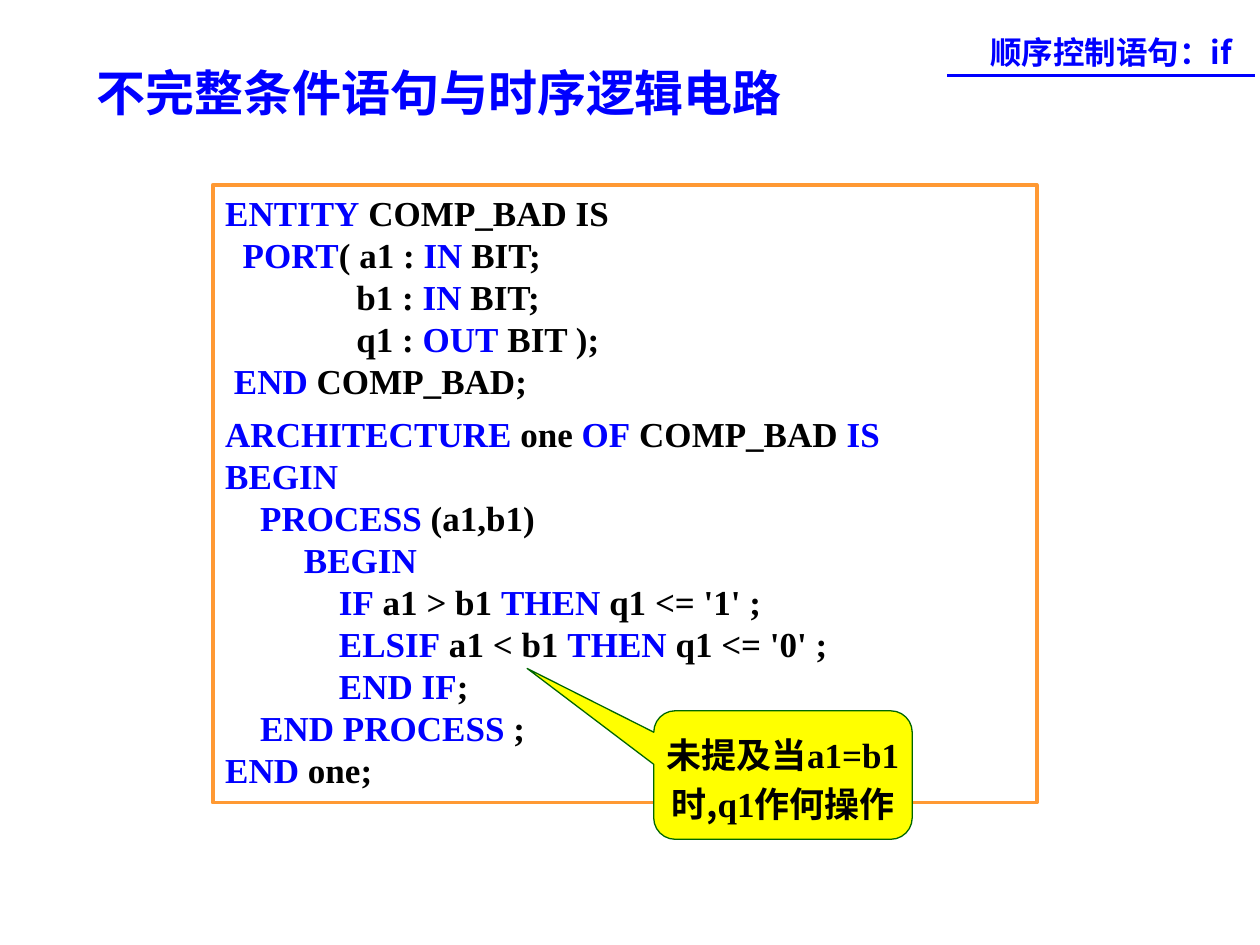
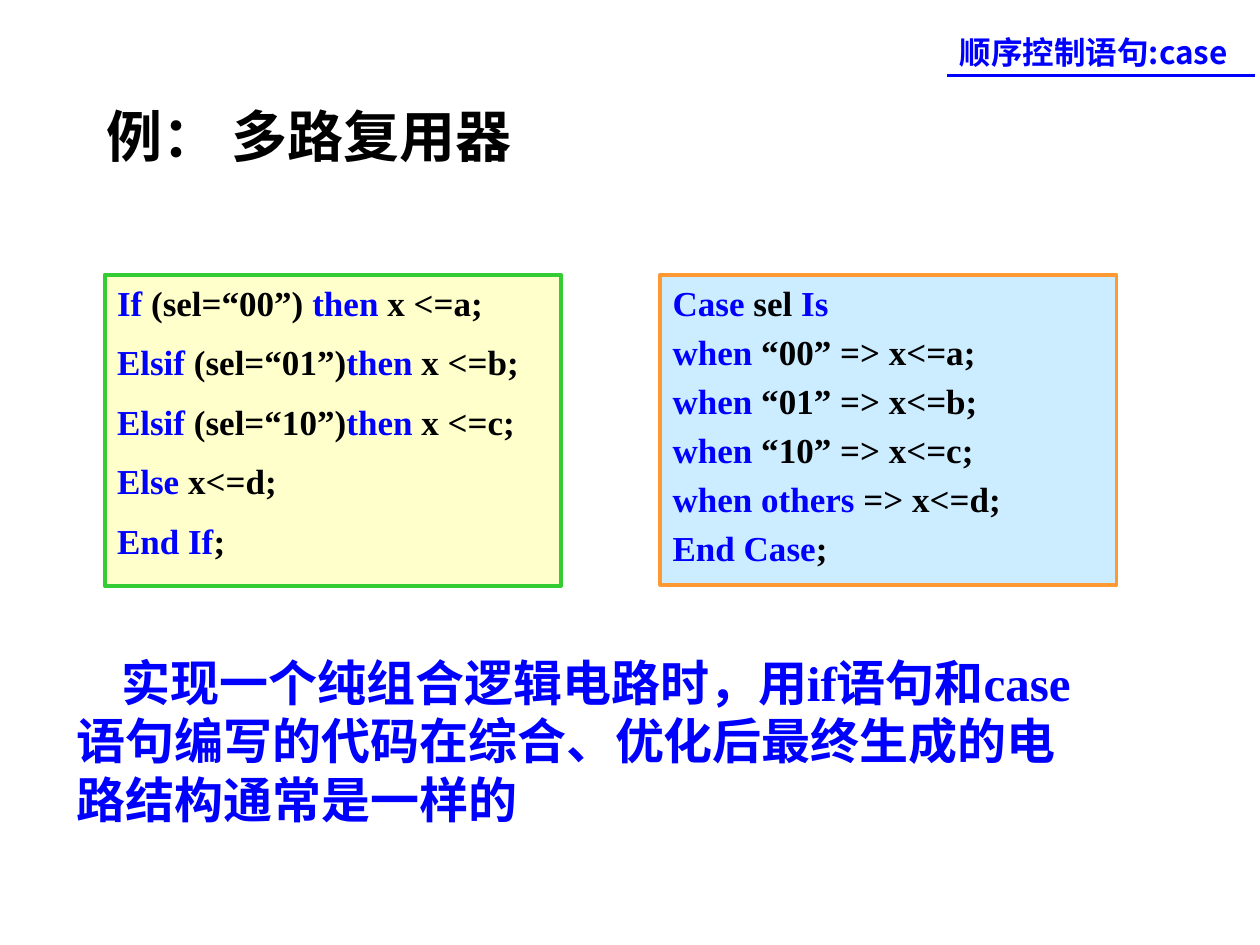
from dataclasses import dataclass

from pptx import Presentation
from pptx.dml.color import RGBColor
from pptx.enum.shapes import MSO_CONNECTOR as CONNECTOR, MSO_SHAPE as SHAPE
from pptx.enum.text import MSO_ANCHOR as ANCHOR, PP_ALIGN as ALIGN
from pptx.oxml.ns import qn
from pptx.util import Cm, Pt
from lxml import etree


@dataclass(frozen=True)
class Theme:
    blue: str = "0000FF"
    black: str = "000000"
    white: str = "FFFFFF"
    orange: str = "FF9933"
    green: str = "33CC33"
    dark_green: str = "006600"
    yellow: str = "FFFF00"
    cream: str = "FFFFCC"
    sky: str = "CCECFF"
    sans: str = "Noto Sans CJK SC"
    serif: str = "Times New Roman"
    code_size: int = 20
    section_size: int = 18
    heading_size: int = 28
    example_size: int = 32
    char_indent: int = Pt(5)


T = Theme()

ENTITY_CODE = [
    (0, "|ENTITY| COMP_BAD IS"),
    (2, "|PORT|( a1 : |IN| BIT;"),
    (15, "b1 : |IN| BIT;"),
    (15, "q1 : |OUT| BIT );"),
    (1, "|END| COMP_BAD;"),
]
ARCHITECTURE_CODE = [
    (0, "|ARCHITECTURE| one |OF| COMP_BAD |IS|"),
    (0, "|BEGIN|"),
    (4, "|PROCESS| (a1,b1)"),
    (9, "|BEGIN|"),
    (13, "|IF| a1 > b1 |THEN| q1 <= '1' ;"),
    (13, "|ELSIF| a1 < b1 |THEN| q1 <= '0' ;"),
    (13, "|END IF|;"),
    (4, "|END PROCESS| ;"),
    (0, "|END| one;"),
]
IF_CODE = [
    (0, "|If| (sel=“00”) |then| x <=a;"),
    (0, "|Elsif| (sel=“01”)|then| x <=b;"),
    (0, "|Elsif| (sel=“10”)|then| x <=c;"),
    (0, "|Else| x<=d;"),
    (0, "|End If|;"),
]
CASE_CODE = [
    (0, "|Case| sel |Is|"),
    (0, "|when| “00” => x<=a;"),
    (0, "|when| “01” => x<=b;"),
    (0, "|when| “10” => x<=c;"),
    (0, "|when others| => x<=d;"),
    (0, "|End Case|;"),
]


def rgb(color):
    return RGBColor.from_string(color)


def write(p, text, size, font=T.sans, color=T.blue, mark_font=None,
          mark_color=None, align=ALIGN.LEFT, line=None, before=0,
          margin=0, first_indent=0):
    p.alignment = align
    p.space_before = Pt(before)
    if line:
        p.line_spacing = Pt(line)
    pPr = p._p.get_or_add_pPr()
    pPr.set("marL", str(margin))
    pPr.set("indent", str(first_indent))
    for i, part in enumerate(text.split("|")):
        if not part:
            continue
        marked = i % 2
        r = p.add_run()
        r.text = part
        r.font.size = Pt(size)
        r.font.bold = True
        r.font.color.rgb = rgb(marked and mark_color or color)
        r.font.name = marked and mark_font or font
        ea = etree.SubElement(r._r.get_or_add_rPr(), qn("a:ea"))
        ea.set("typeface", T.sans)


def set_frame(s, anchor=ANCHOR.TOP, inset_x=0.25, inset_y=0.13):
    tf = s.text_frame
    tf.word_wrap = True
    tf.vertical_anchor = anchor
    tf.margin_left = tf.margin_right = Cm(inset_x)
    tf.margin_top = tf.margin_bottom = Cm(inset_y)
    return tf


def add_text(s, box, text, anchor=ANCHOR.MIDDLE, **fmt):
    s.left, s.top, s.width, s.height = (Cm(v) for v in box)
    write(set_frame(s, anchor).paragraphs[0], text, **fmt)


def add_textbox(sl, box, text, **fmt):
    add_text(sl.shapes.add_textbox(*(Cm(v) for v in box)), box, text, **fmt)


def add_panel(sl, kind, box, fill, line, weight):
    s = sl.shapes.add_shape(kind, *(Cm(v) for v in box))
    s.shadow.inherit = False
    s.fill.solid()
    s.fill.fore_color.rgb = rgb(fill)
    s.line.color.rgb = rgb(line)
    s.line.width = Pt(weight)
    return s


def add_code(sl, box, blocks, fill, line, line_gap=0, block_gap=0):
    tf = set_frame(add_panel(sl, SHAPE.RECTANGLE, box, fill, line, 2.25))
    p = None
    for block in blocks:
        for i, (indent, text) in enumerate(block):
            before = 0 if p is None else line_gap if i else block_gap
            p = tf.paragraphs[0] if p is None else tf.add_paragraph()
            write(p, text, T.code_size, font=T.serif, color=T.black,
                  mark_color=T.blue, line=24, before=before,
                  margin=indent * T.char_indent)


def add_callout(sl, box, text, tail):
    s = add_panel(sl, SHAPE.ROUNDED_RECTANGULAR_CALLOUT, box,
                  T.yellow, T.dark_green, 0.75)
    s.adjustments[0], s.adjustments[1] = tail
    tf = set_frame(s, ANCHOR.MIDDLE, 0, 0)
    write(tf.paragraphs[0], text, T.code_size, color=T.black,
          mark_font=T.serif, align=ALIGN.CENTER, line=28)


def add_section(sl, text, left):
    c = sl.shapes.add_connector(CONNECTOR.STRAIGHT, Cm(19.1), Cm(1.52),
                                Cm(25.3), Cm(1.52))
    c.line.color.rgb = rgb(T.blue)
    c.line.width = Pt(1.5)
    etree.SubElement(c._element.spPr, qn("a:effectLst"))
    add_textbox(sl, (left, 0.53, 25.4 - left, 1.02), text,
                size=T.section_size)


def new_slide(prs, title, box, section, section_left, **fmt):
    sl = prs.slides.add_slide(prs.slide_layouts[5])
    add_text(sl.shapes.title, box, title, **fmt)
    add_section(sl, section, section_left)
    return sl


def incomplete_if_slide(prs):
    sl = new_slide(prs, "不完整条件语句与时序逻辑电路", (1.7, 1.12, 15.6, 1.45),
                   "顺序控制语句：if", 19.71, size=T.heading_size)
    add_code(sl, (4.29, 3.73, 16.61, 12.45), [ENTITY_CODE, ARCHITECTURE_CODE],
             T.white, T.orange, block_gap=6)
    add_callout(sl, (13.18, 14.33, 5.21, 2.59),
                "未提及当|a1=b1|时,|q1|作何操作", (-0.99, -0.83))


def multiplexer_slide(prs):
    sl = new_slide(prs, "例： 多路复用器", (1.9, 1.93, 10.41, 1.6),
                   "顺序控制语句:case", 19.1, size=T.example_size,
                   font=T.serif, color=T.black)
    add_code(sl, (2.11, 5.54, 9.2, 6.27), [IF_CODE], T.cream, T.green,
             line_gap=10)
    add_code(sl, (13.31, 5.54, 9.2, 6.25), [CASE_CODE], T.sky, T.orange,
             line_gap=4)
    add_textbox(sl, (1.3, 13.03, 20.96, 3.81),
                "实现一个纯组合逻辑电路时，用|if|语句和|case|语句编写的代码在综合、"
                "优化后最终生成的电路结构通常是一样的",
                anchor=ANCHOR.TOP, size=T.heading_size, mark_font=T.serif,
                line=33.4, first_indent=Cm(0.91))


def main():
    prs = Presentation()
    prs.slide_width, prs.slide_height = Cm(25.4), Cm(19.05)
    incomplete_if_slide(prs)
    multiplexer_slide(prs)
    prs.save("out.pptx")


if __name__ == "__main__":
    main()
